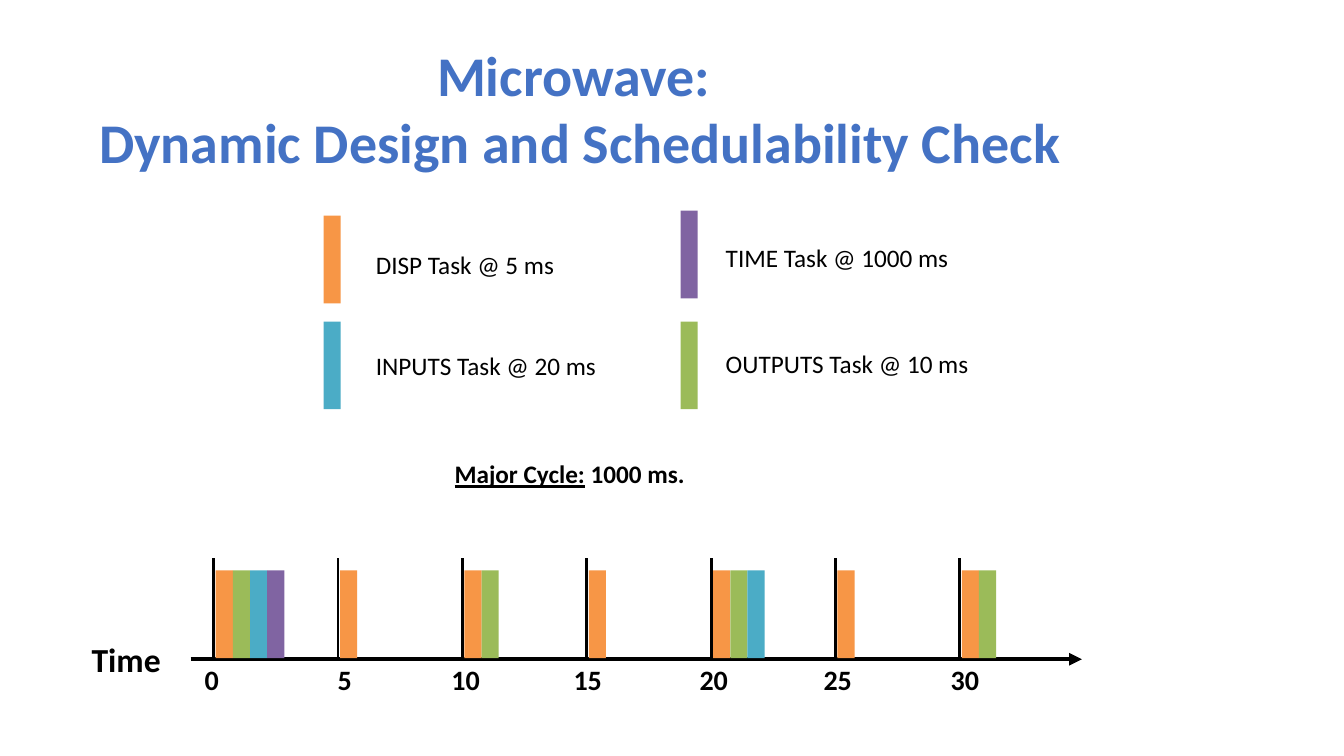
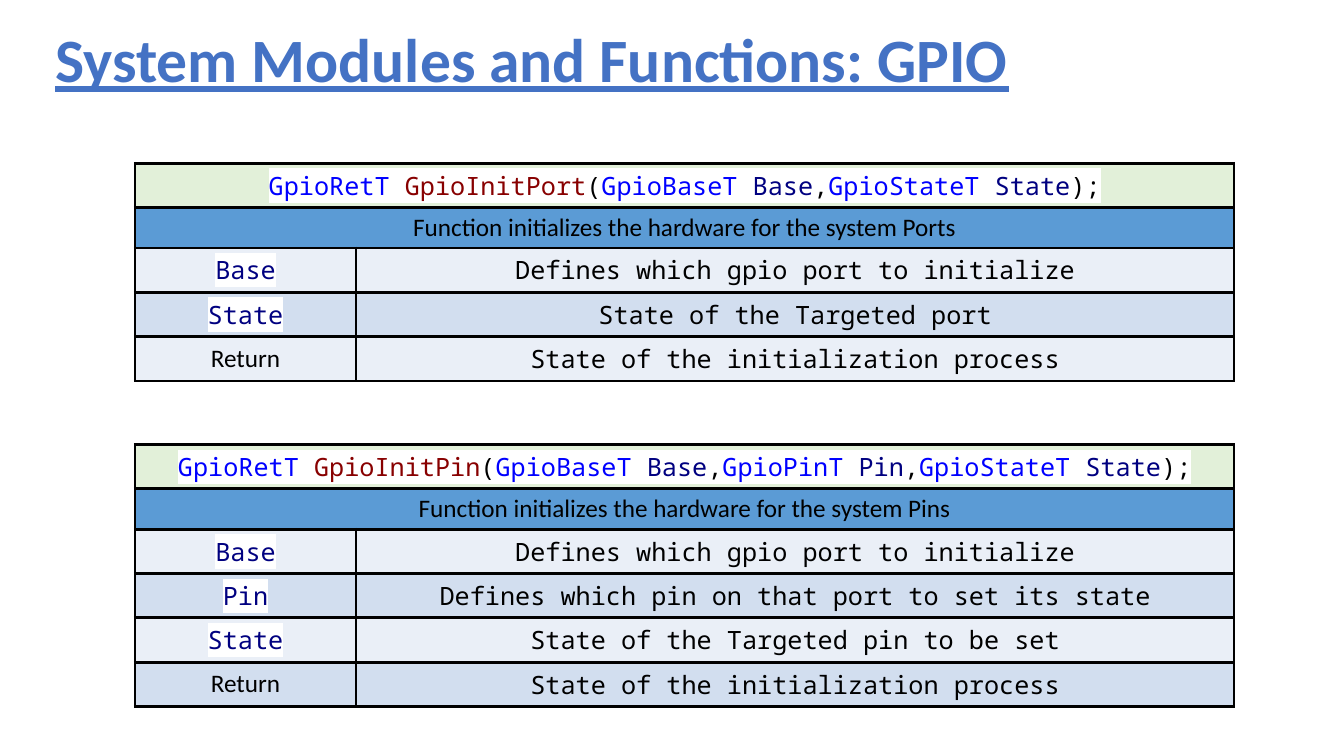
from lxml import etree
from pptx import Presentation
from pptx.dml.color import RGBColor
from pptx.enum.shapes import MSO_CONNECTOR, MSO_SHAPE
from pptx.enum.text import MSO_ANCHOR, PP_ALIGN
from pptx.oxml.ns import qn
from pptx.util import Inches, Pt

STRAIGHT = MSO_CONNECTOR.STRAIGHT
RECTANGLE = MSO_SHAPE.RECTANGLE
TOP, MIDDLE, BOTTOM = MSO_ANCHOR.TOP, MSO_ANCHOR.MIDDLE, MSO_ANCHOR.BOTTOM
LEFT, CENTER = PP_ALIGN.LEFT, PP_ALIGN.CENTER

BLACK = RGBColor(0x00, 0x00, 0x00)
WHITE = RGBColor(0xFF, 0xFF, 0xFF)
TITLE_BLUE = RGBColor(0x44, 0x72, 0xC4)
ORANGE = RGBColor(0xF7, 0x96, 0x46)
GREEN = RGBColor(0x9B, 0xBB, 0x59)
TEAL = RGBColor(0x4B, 0xAC, 0xC6)
PURPLE = RGBColor(0x80, 0x64, 0xA2)
TYPE_BLUE = RGBColor(0x00, 0x00, 0xFF)
FUNCTION_RED = RGBColor(0x88, 0x00, 0x00)
NAME_NAVY = RGBColor(0x00, 0x00, 0x80)
SIGNATURE_FILL = RGBColor(0xE2, 0xF0, 0xD9)
SUMMARY_FILL = RGBColor(0x5B, 0x9B, 0xD5)
BAND_FILLS = (RGBColor(0xEA, 0xEF, 0xF7), RGBColor(0xD2, 0xDE, 0xEF))

BODY = {"name": "Calibri", "size": Pt(18), "color": BLACK}
STRONG = BODY | {"bold": True}
TITLE = STRONG | {"color": TITLE_BLUE}
CODE = BODY | {"name": "Noto Sans Mono"}

BAR_WIDTH, BAR_HEIGHT = 0.17, 0.87
AXIS_TOP = 6.54
FIRST_TICK, TICK_STEP = 2.12, 7.4 / 6

# Task, period in ms, colour, legend bar position, legend text position
TASKS = (
    ("DISP", 5, ORANGE, (3.21, 2.14), (3.63, 2.42)),
    ("OUTPUTS", 10, GREEN, (6.75, 3.19), (7.1, 3.41)),
    ("INPUTS", 20, TEAL, (3.21, 3.19), (3.63, 3.43)),
    ("TIME", 1000, PURPLE, (6.75, 2.09), (7.1, 2.35)),
)
TICK_LABEL_LEFTS = (1.93, 3.25, 4.38, 5.59, 6.84, 8.07, 9.33)

BASE = ("GpioBaseT", "Base", "Defines which gpio port to initialize")
PIN = ("GpioPinT", "Pin", "Defines which pin on that port to set its state")
PORT_STATE = ("GpioStateT", "State", "State of the Targeted port")
PIN_STATE = ("GpioStateT", "State", "State of the Targeted pin to be set")


class SlideBuilder:
    def __init__(self):
        self.deck = Presentation()
        self.deck.slide_width = Inches(13.33)
        self.deck.slide_height = Inches(7.5)
        self.page = None

    def new_page(self):
        self.page = self.deck.slides.add_slide(self.deck.slide_layouts[6])

    def add_spans(self, para, spans):
        """Add (text, format) spans; a format may hold a highlight colour."""
        for text, values in spans:
            span = para.add_run()
            span.text = text
            for key, value in values.items():
                if key == "color":
                    span.font.color.rgb = value
                elif key != "highlight":
                    setattr(span.font, key, value)
            if "highlight" in values:
                properties = span._r.get_or_add_rPr()
                highlight = etree.Element(qn("a:highlight"))
                color = etree.SubElement(highlight, qn("a:srgbClr"))
                color.set("val", str(values["highlight"]))
                properties.find(qn("a:solidFill")).addnext(highlight)

    def text(self, place, lines, align=LEFT, anchor=TOP, wrap=True, spacing=None):
        """Add a text box; each line is a list of (text, format) spans."""
        box = self.page.shapes.add_textbox(*map(Inches, place))
        frame = box.text_frame
        frame.word_wrap = wrap
        frame.vertical_anchor = anchor
        for index, spans in enumerate(lines):
            para = frame.add_paragraph() if index else frame.paragraphs[0]
            para.alignment = align
            para.line_spacing = spacing
            self.add_spans(para, spans)

    def bar(self, left, top, color):
        place = (left, top, BAR_WIDTH, BAR_HEIGHT)
        bar = self.page.shapes.add_shape(RECTANGLE, *map(Inches, place))
        bar.shadow.inherit = False
        bar.fill.solid()
        bar.fill.fore_color.rgb = color
        bar.line.fill.background()

    def line(self, start, end, width, arrow=False):
        ends = map(Inches, (*start, *end))
        line = self.page.shapes.add_connector(STRAIGHT, *ends)
        line.line.color.rgb = BLACK
        line.line.width = Pt(width)
        properties = line._element.spPr
        if arrow:
            head = etree.SubElement(properties.find(qn("a:ln")), qn("a:tailEnd"))
            head.set("type", "triangle")
        etree.SubElement(properties, qn("a:effectLst"))

    def cell(self, cell, spans, fill):
        cell.vertical_anchor = MIDDLE
        cell.fill.solid()
        cell.fill.fore_color.rgb = fill
        para = cell.text_frame.paragraphs[0]
        para.alignment = CENTER
        self.add_spans(para, spans)
        properties = cell._tc.get_or_add_tcPr()
        for index, side in enumerate("LRTB"):
            border = etree.Element(qn(f"a:ln{side}"), w=str(Pt(2.25)))
            paint = etree.SubElement(border, qn("a:solidFill"))
            etree.SubElement(paint, qn("a:srgbClr")).set("val", str(BLACK))
            properties.insert(index, border)

    def function_table(self, top, function, summary, parameters):
        """Add a table of a signature, its summary, parameters and result."""
        rows = [([(name, marked(NAME_NAVY))], description)
                for _, name, description in parameters]
        rows.append(([("Return", BODY)], "State of the initialization process"))
        heights = [0.44, 0.4] + [0.44] * len(rows)
        place = (1.34, top, 10.9, sum(heights))
        frame = self.page.shapes.add_table(
            len(heights), 2, *map(Inches, place))
        table = frame.table
        table.first_row = table.horz_banding = False
        for column, width in zip(table.columns, (2.19, 8.71)):
            column.width = Inches(width)
        for row, height in zip(table.rows, heights):
            row.height = Inches(height)

        headings = ((signature(function, parameters), SIGNATURE_FILL),
                    ([(summary, BODY)], SUMMARY_FILL))
        for index, (spans, fill) in enumerate(headings):
            first, second = table.cell(index, 0), table.cell(index, 1)
            first.merge(second)
            self.cell(first, spans, fill)
            self.cell(second, [], fill)
        for index, (label, description) in enumerate(rows):
            fill = BAND_FILLS[index % 2]
            self.cell(table.cell(index + 2, 0), label, fill)
            self.cell(table.cell(index + 2, 1), [(description, CODE)], fill)


def marked(color):
    """Return the format of code on a white highlight."""
    return CODE | {"color": color, "highlight": WHITE}


def signature(function, parameters):
    spans = [("GpioRetT ", marked(TYPE_BLUE)), (function, marked(FUNCTION_RED))]
    for index, (kind, name, _) in enumerate(parameters):
        spans += [("," if index else "(", marked(BLACK)),
                  (kind + " ", marked(TYPE_BLUE)),
                  (name, marked(NAME_NAVY))]
    return spans + [(");", marked(BLACK))]


def build_schedule(builder):
    builder.new_page()
    heading = TITLE | {"size": Pt(40)}
    builder.text((0.29, 0.55, 10.92, 1.23),
                 [[("Microwave: ", heading)],
                  [("Dynamic Design and Schedulability Check", heading)]],
                 align=CENTER, anchor=BOTTOM)
    for task, period, color, bar_place, text_place in TASKS:
        builder.bar(*bar_place, color)
        builder.text((*text_place, 2.7, 0.4),
                     [[(f"{task} Task @ {period} ms", BODY)]])
    builder.text((4.41, 4.5, 2.51, 0.4),
                 [[("Major Cycle:", STRONG | {"underline": True}),
                   (" 1000 ms.", STRONG)]], wrap=False)

    builder.text((0.81, 6.29, 0.94, 0.5),
                 [[("Time", STRONG | {"size": Pt(24)})]])
    builder.line((1.89, AXIS_TOP), (10.73, AXIS_TOP), 3, arrow=True)
    for index, label_left in enumerate(TICK_LABEL_LEFTS):
        time = 5 * index
        tick = FIRST_TICK + index * TICK_STEP
        due = [color for _, period, color, *_ in TASKS if time % period == 0]
        for position, color in enumerate(due):
            builder.bar(tick + 0.02 + position * BAR_WIDTH, 5.66, color)
        builder.line((tick, AXIS_TOP - 1), (tick, AXIS_TOP), 2)
        label = str(time)
        builder.text((label_left, 6.52, 0.09 + 0.22 * len(label), 0.44),
                     [[(label, STRONG | {"size": Pt(20)})]])


def build_gpio(builder):
    builder.new_page()
    heading = TITLE | {"size": Pt(44), "underline": True}
    builder.text((0.45, 0.17, 12.69, 0.91),
                 [[("System Modules and Functions: GPIO", heading)]],
                 anchor=MIDDLE, spacing=0.9)
    builder.function_table(
        1.62, "GpioInitPort",
        "Function initializes the hardware for the system Ports",
        (BASE, PORT_STATE))
    builder.function_table(
        4.41, "GpioInitPin",
        "Function initializes the hardware for the system Pins",
        (BASE, PIN, PIN_STATE))


def main():
    builder = SlideBuilder()
    build_schedule(builder)
    build_gpio(builder)
    builder.deck.save("out.pptx")


if __name__ == "__main__":
    main()
